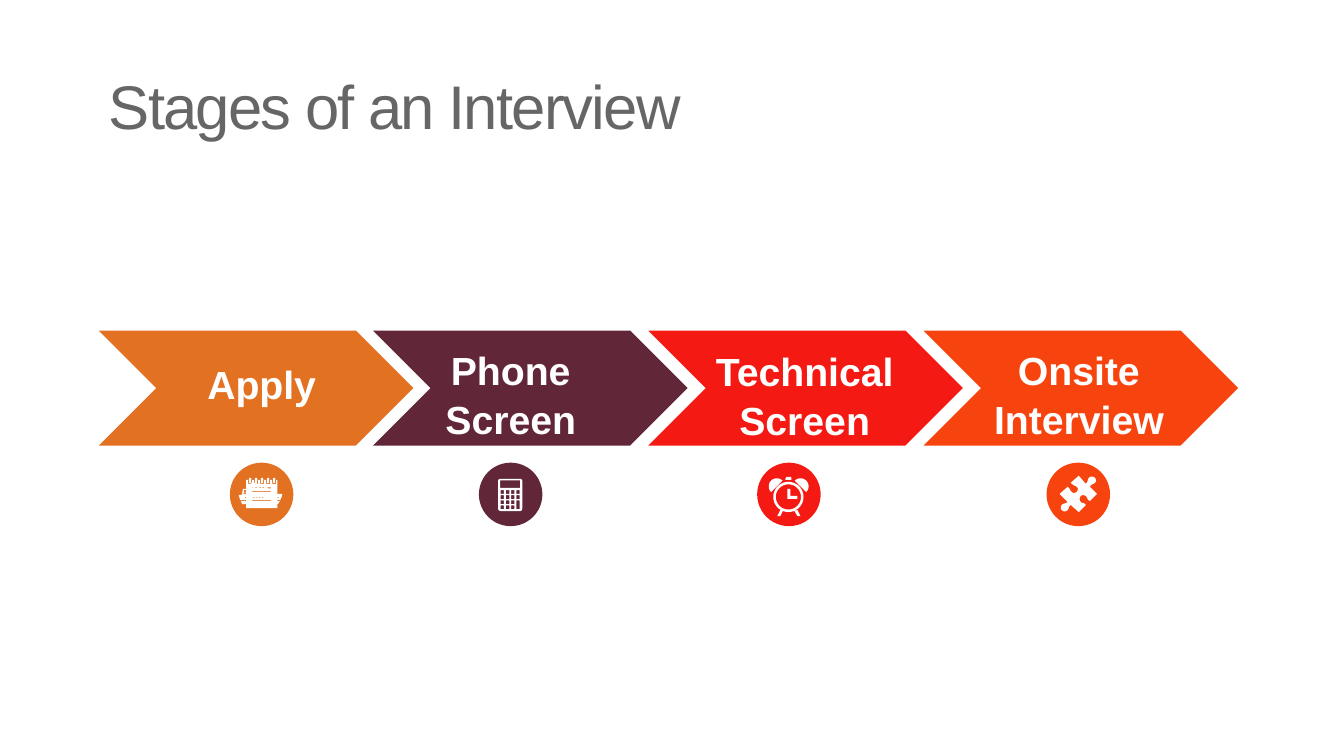
from math import cos, radians, sin

from pptx import Presentation
from pptx.dml.color import RGBColor
from pptx.enum.shapes import MSO_SHAPE
from pptx.enum.text import MSO_ANCHOR, MSO_AUTO_SIZE, PP_ALIGN
from pptx.util import Pt

PX = 9144  # EMU per px, 100 px to the inch
ORANGE = RGBColor(0xE3, 0x71, 0x22)
PLUM = RGBColor(0x61, 0x26, 0x38)
RED = RGBColor(0xF5, 0x19, 0x14)
VERMILION = RGBColor(0xF7, 0x44, 0x0E)
WHITE = RGBColor(0xFF, 0xFF, 0xFF)
GREY = RGBColor(0x66, 0x66, 0x66)


# Outline helpers: each returns a list of points in px
def rect(x, y, w, h):
    return [(x, y), (x + w, y), (x + w, y + h), (x, y + h)]


def arc(cx, cy, radius, start=0, end=360, step=10):
    return [(cx + radius * cos(radians(a)), cy + radius * sin(radians(a)))
            for a in range(start, end + 1, step)]


def outline(*steps):
    """Join points (x, y) and Bezier curves (x1, y1, x2, y2, x, y)."""
    points = []
    for step in steps:
        if len(step) == 2:
            points.append(step)
            continue
        x0, y0 = points[-1]
        x1, y1, x2, y2, x3, y3 = step
        for t in (0.2, 0.4, 0.6, 0.8, 1):
            u = 1 - t
            a, b, c, d = u ** 3, 3 * u * u * t, 3 * u * t * t, t ** 3
            points.append((a * x0 + b * x1 + c * x2 + d * x3,
                           a * y0 + b * y1 + c * y2 + d * y3))
    return points


class Deck:
    font = "Arial"

    def __init__(self):
        self.prs = Presentation()
        self.prs.slide_width, self.prs.slide_height = 1333 * PX, 750 * PX
        self.s = self.prs.slides.add_slide(self.prs.slide_layouts[5])

    def set_text(self, tf, text, frame, para, font, color):
        tf.text = text
        p = tf.paragraphs[0]
        r = p.runs[0]
        for target, values in ((tf, frame), (p, para), (r.font, font)):
            for name, value in values.items():
                setattr(target, name, value)
        r.font.name = self.font
        r.font.color.rgb = color
        return r

    def title(self, text, x, y, w, h):
        sp = self.s.shapes.title
        sp.left, sp.top, sp.width, sp.height = (v * PX for v in (x, y, w, h))
        r = self.set_text(sp.text_frame, text,
                          dict(vertical_anchor=MSO_ANCHOR.MIDDLE,
                               word_wrap=True, auto_size=MSO_AUTO_SIZE.NONE),
                          dict(alignment=PP_ALIGN.LEFT, line_spacing=0.8,
                               space_before=Pt(21)),
                          dict(size=Pt(44)), GREY)
        r._r.get_or_add_rPr().set("spc", "-130")

    def label(self, text, x, y, w, h):
        sp = self.s.shapes.add_textbox(*(v * PX for v in (x, y, w, h)))
        self.set_text(sp.text_frame, text,
                      dict(word_wrap=True,
                           auto_size=MSO_AUTO_SIZE.SHAPE_TO_FIT_TEXT),
                      dict(alignment=PP_ALIGN.CENTER, line_spacing=1.04),
                      dict(size=Pt(28), bold=True), WHITE)

    def paint(self, sp, color):
        sp.shadow.inherit = False
        sp.fill.solid()
        sp.fill.fore_color.rgb = color
        sp.line.fill.background()

    def shape(self, kind, x, y, w, h, color):
        sp = self.s.shapes.add_shape(kind, *(v * PX for v in (x, y, w, h)))
        self.paint(sp, color)

    def icon(self, contours):
        scaled = [[(x * PX, y * PX) for x, y in c] for c in contours]
        fb = self.s.shapes.build_freeform(*scaled[0][0])
        for i, points in enumerate(scaled):
            if i:
                fb.move_to(*points[0])
            fb.add_line_segments(points[1:], close=True)
        self.paint(fb.convert_to_shape(), WHITE)


# Icons: a contour inside another one is a hole
rings = range(248, 273, 6)
notepad = [rect(244, 476, 31, 28),
           *(rect(250, y, 19, 1) for y in (483.5, 487, 490, 493, 496, 499)),
           *(rect(x - 2, 476, 4, 4) for x in rings),
           *(rect(x - 1, 474, 2, 5) for x in rings)]

ship = [outline((253, 478), (254, 478), (255, 480), (263, 480), (266, 485),
                (269, 485), (274, 490), (280, 490),
                (280, 492, 279, 494, 278, 496), (238, 496),
                (238, 494, 237, 493, 237, 491), (240, 491), (241, 485),
                (246, 485), (247, 480), (249, 480), (250, 478), (251, 478),
                (252, 480)),
        outline((239, 497), (278, 497), (277, 498, 276, 499, 276, 500),
                (240, 500), (240, 499, 239, 498, 239, 497)),
        [(242, 488.5), (241, 490), (272, 490), (271, 488.5)],
        [(242, 486), (242, 488), (270, 488), (269, 486)],
        *(rect(x, 493, 1.4, 1) for x in
          (243, 246, 248, 251, 254, 257, 260, 269, 272, 275)),
        *(rect(x, 482, 2, 2) for x in (249, 253, 257, 260))]

calculator = [outline((497, 475), (516, 475), (517, 475, 518, 476, 518, 477),
                      (518, 504), (518, 506, 517, 507, 516, 507), (497, 507),
                      (495, 507, 494, 506, 494, 504), (494, 477),
                      (494, 476, 495, 475, 497, 475)),
              rect(496, 476.5, 20, 7.5),
              *(rect(496.5 + 5.2 * col, 486.3 + 5 * row, 3.4,
                     8.8 if (col, row) == (3, 2) else 3.8)
                for col in range(4) for row in range(4)
                if (col, row) != (3, 3))]

clock = [arc(782, 493, 15), arc(782, 493, 12.5),
         [(781, 485), (784, 485), (784, 492), (791, 492), (791, 495),
          (781, 495)],
         arc(770.5, 482.5, 8, 135, 315), arc(794, 482.5, 8, 225, 405),
         outline((779, 476), (779, 474, 780, 473, 781, 473), (784, 473),
                 (785, 473, 785, 474, 785, 476)),
         [(774, 506), (776.5, 507), (774, 512), (771, 512)],
         [(788, 507), (791, 506), (794, 512), (791, 512)]]

puzzle = [outline(
    (1086, 474), (1087, 475, 1088, 478, 1086, 479),
    (1084, 481, 1082, 480, 1081, 483), (1088, 490), (1081, 497),
    (1078, 496, 1079, 494, 1077, 492), (1075, 491, 1073, 491, 1072, 492),
    (1071, 493, 1070, 496, 1072, 498), (1074, 500, 1075, 498, 1077, 501),
    (1070, 508), (1062, 501), (1059, 503, 1061, 504, 1059, 506),
    (1057, 508, 1055, 508, 1053, 506), (1052, 505, 1052, 503, 1053, 501),
    (1055, 499, 1057, 500, 1059, 498), (1051, 490), (1059, 483),
    (1062, 485, 1061, 487, 1063, 488), (1064, 490, 1067, 489, 1068, 488),
    (1069, 487, 1070, 484, 1068, 483), (1065, 481, 1065, 482, 1062, 479),
    (1070, 472), (1077, 480), (1080, 477, 1078, 477, 1080, 474),
    (1082, 472, 1085, 473, 1086, 474))]

# Stages: colour, label, label box, circle left, icons
STAGES = [
    (ORANGE, "Apply", (177, 351, 165, 58), 228, [notepad, ship]),
    (PLUM, "Phone Screen", (409, 337, 195, 105), 475, [calculator]),
    (RED, "Technical Screen", (654, 338, 288, 104), 751, [clock]),
    (VERMILION, "Onsite Interview", (944, 337, 252, 105), 1038, [puzzle]),
]


def main():
    deck = Deck()
    deck.title("Stages of an Interview", 98, 53, 713, 115)
    for i, (color, text, box, circle_x, icons) in enumerate(STAGES):
        deck.shape(MSO_SHAPE.CHEVRON, 98 + 818 * i // 3, 328, 312, 114, color)
        deck.label(text, *box)
        deck.shape(MSO_SHAPE.OVAL, circle_x, 459, 63, 63, color)
        for contours in icons:
            deck.icon(contours)
    deck.prs.save("out.pptx")


if __name__ == "__main__":
    main()
